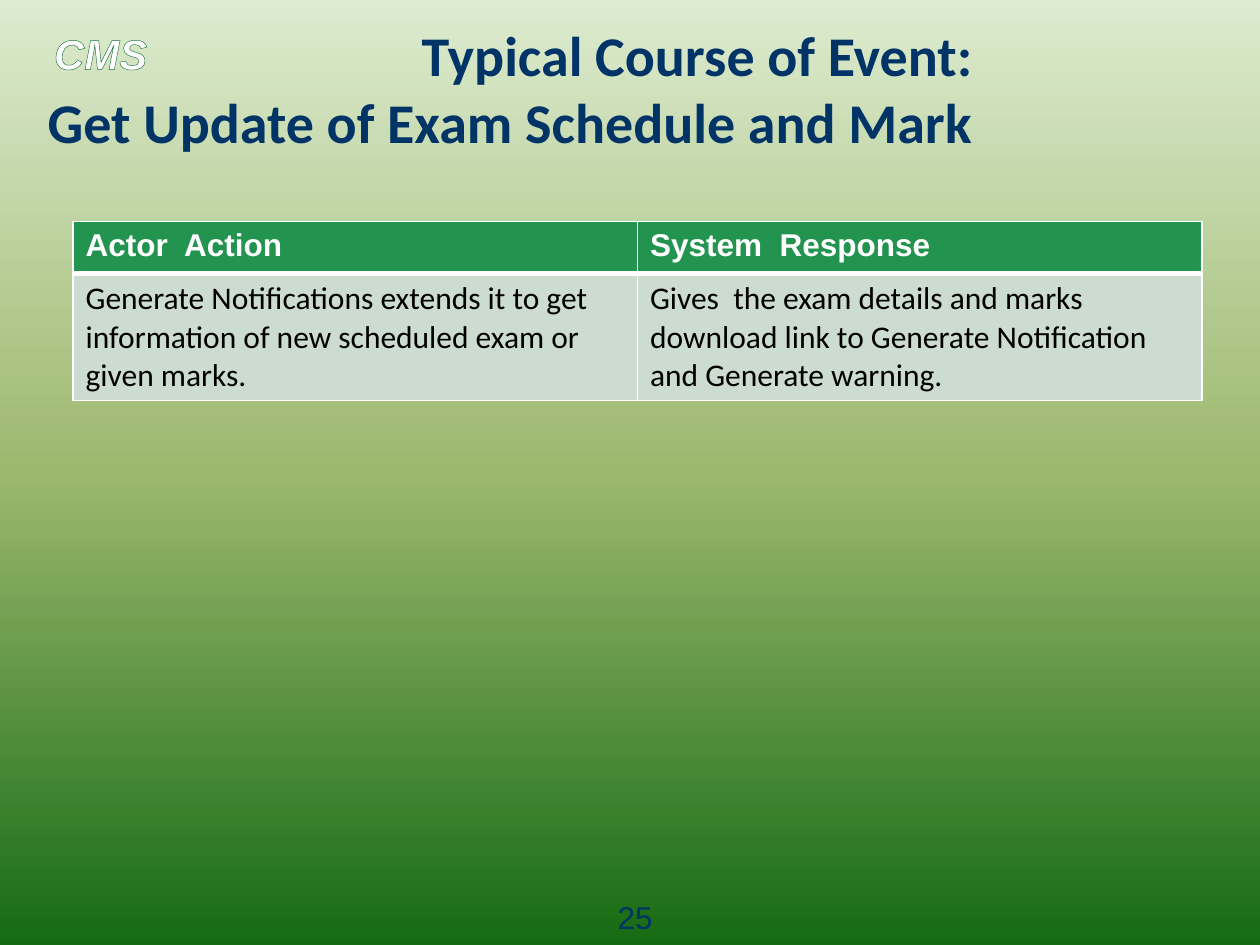
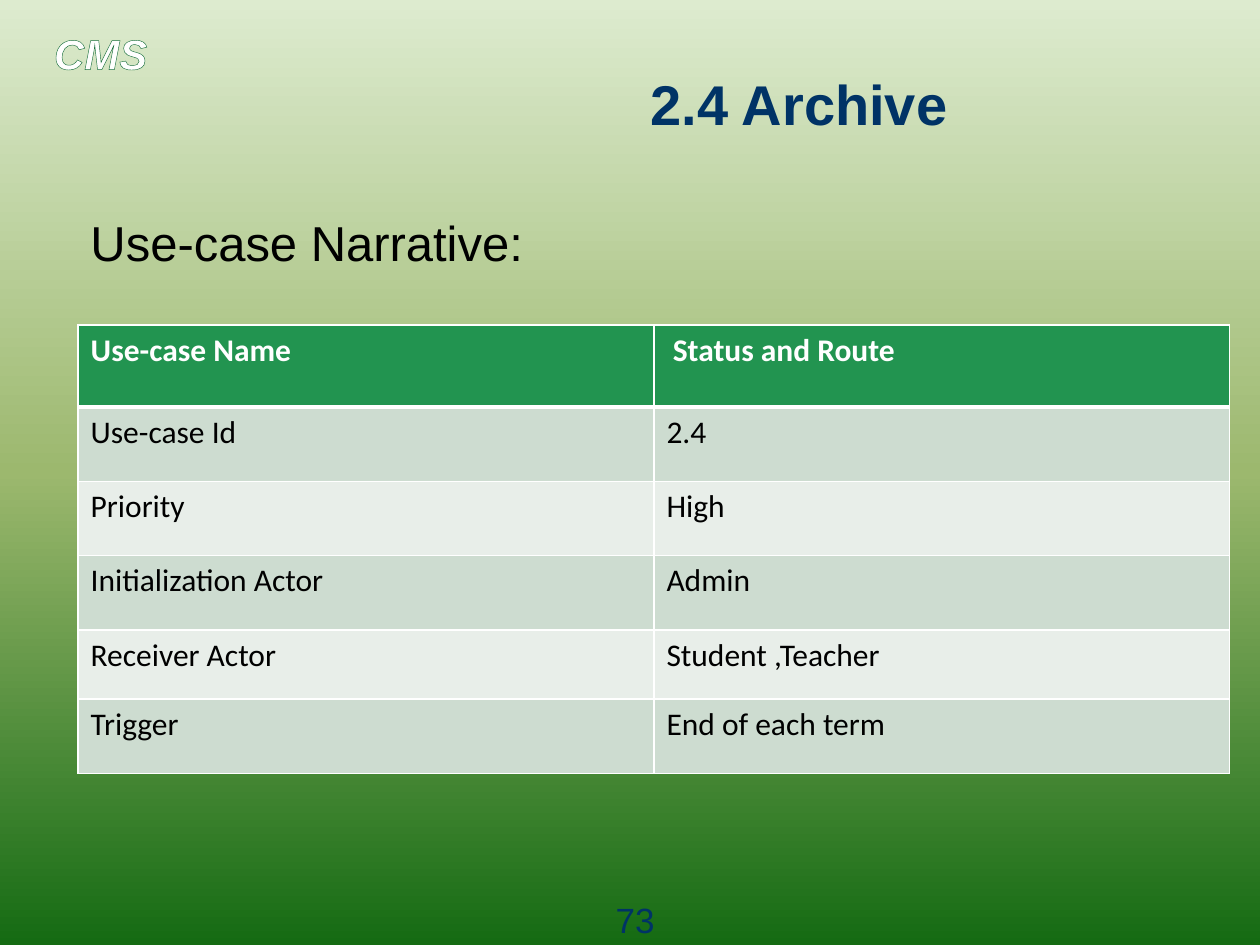
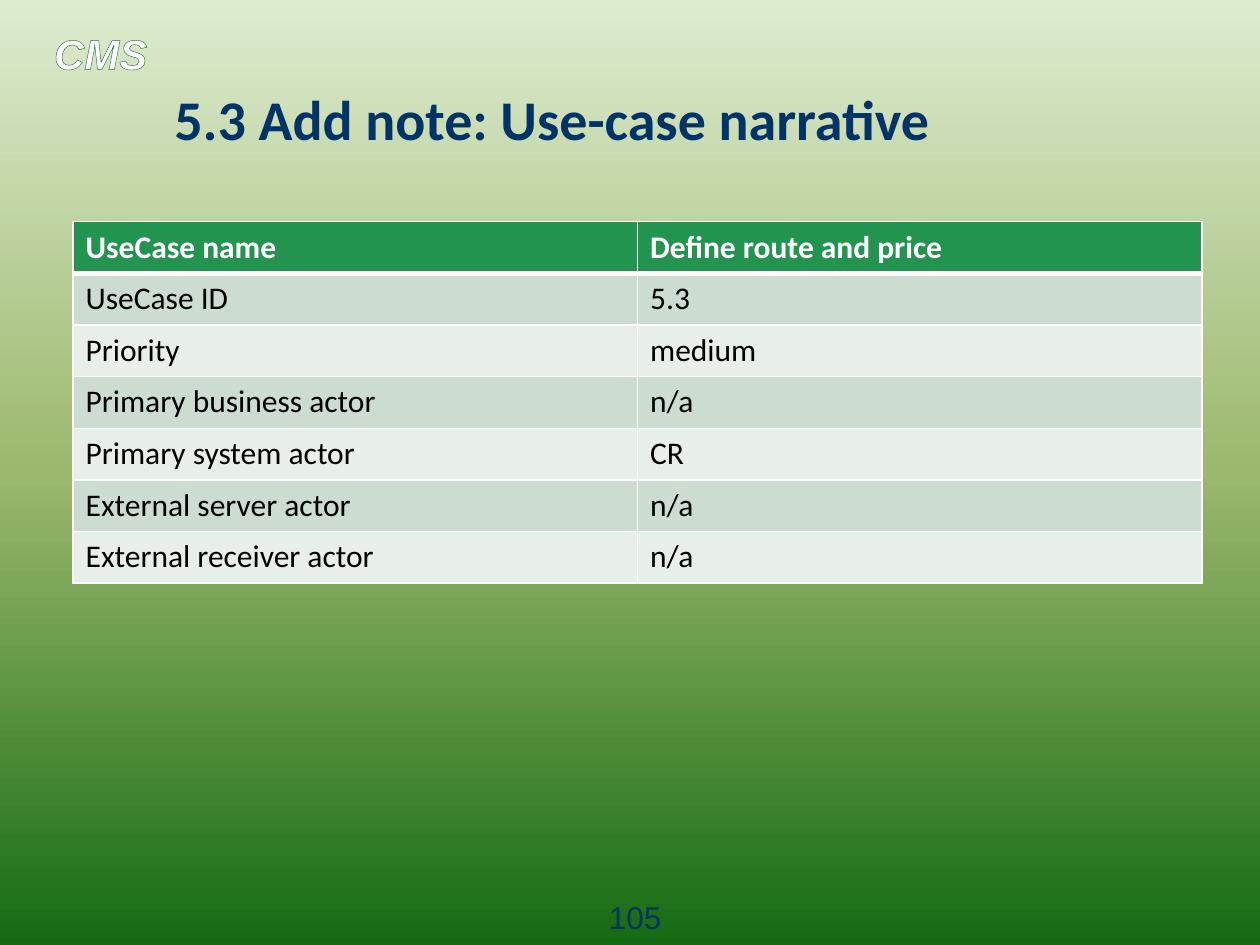
"""Build three use-case slides for the CMS deck."""
from dataclasses import dataclass

from lxml import etree
from pptx import Presentation
from pptx.dml.color import RGBColor
from pptx.enum import text
from pptx.oxml import ns
from pptx.util import Inches, Pt

COLORS = {
    "title": "003366",
    "body": "000000",
    "white": "FFFFFF",
    "outline": "196F3C",
    "header": "229450",
    "band_dark": "CDDCD0",
    "band_light": "E8EEE9",
    "bg_top": "DDEBCF",
    "bg_middle": "9CB86E",
    "bg_bottom": "156B13",
}
BACKGROUND = [(0, "bg_top"), (50, "bg_middle"), (100, "bg_bottom")]


@dataclass
class Style:
    size: int
    color: str
    font: str = "Arial"
    bold: bool = False
    italic: bool = False
    align: text.PP_ALIGN = text.PP_ALIGN.LEFT


@dataclass
class Box:
    left: float
    top: float
    width: float
    height: float


@dataclass
class Grid:
    left: float
    top: float
    col_width: float
    row_heights: list[float]
    rows: list[tuple[str, str]]
    header_font: str = "Calibri"
    header_indent: float = 0.1


@dataclass
class Page:
    number: int
    title: str
    title_box: Box
    grid: Grid
    title_font: str = "Calibri"
    number_size: int = 18
    subtitle: str = ""


PAGES = [
    Page(25, "Typical Course of Event:\vGet Update of Exam Schedule and Mark",
         Box(0.17, 0.43, 7.65, 0.53),
         Grid(0.58, 1.76, 4.48, [0.41, 1.01], [
             ("Actor  Action", "System  Response"),
             ("Generate Notifications extends it to get information of new "
              "scheduled exam or given marks.",
              "Gives  the exam details and marks\n"
              "download link to Generate Notification\n"
              "and Generate warning."),
         ], header_font="Arial")),
    Page(73, "2.4 Archive", Box(0.62, 0.55, 7, 0.53),
         Grid(0.62, 2.58, 4.57, [0.65, 0.59, 0.59, 0.59, 0.55, 0.59], [
             ("Use-case Name", "Status and Route"),
             ("Use-case Id", "2.4"),
             ("Priority", "High"),
             ("Initialization Actor", "Admin"),
             ("Receiver Actor", "Student ,Teacher"),
             ("Trigger", "End of each term"),
         ], header_indent=0.15),
         title_font="Arial", number_size=20, subtitle="Use-case Narrative:"),
    Page(105, "5.3 Add note: Use-case narrative", Box(0.48, 0.67, 7, 0.53),
         Grid(0.58, 1.76, 4.48, [0.41] * 7, [
             ("UseCase name", "Define route and price"),
             ("UseCase ID", "5.3"),
             ("Priority", "medium"),
             ("Primary business actor", "n/a"),
             ("Primary system actor", "CR"),
             ("External server actor", "n/a"),
             ("External receiver actor", "n/a"),
         ])),
]


def rgb(name: str) -> RGBColor:
    """Return the named colour."""
    return RGBColor.from_string(COLORS[name])


def add_solid(parent, name: str) -> None:
    """Append a solid fill to an XML element."""
    fill = etree.SubElement(parent, ns.qn("a:solidFill"))
    etree.SubElement(fill, ns.qn("a:srgbClr"), val=COLORS[name])


def write(tf, content: str, style: Style) -> None:
    """Fill a text frame with uniformly styled paragraphs."""
    tf.text = content
    for p in tf.paragraphs:
        p.alignment = style.align
        p.font.name = style.font
        p.font.size = Pt(style.size)
        p.font.bold = style.bold
        p.font.italic = style.italic
        p.font.color.rgb = rgb(style.color)


def add_text(s, box: Box, content: str, style: Style,
             anchor: text.MSO_ANCHOR = text.MSO_ANCHOR.TOP):
    """Add a wrapped text box and return its text frame."""
    tf = s.shapes.add_textbox(Inches(box.left), Inches(box.top),
                              Inches(box.width), Inches(box.height)).text_frame
    tf.word_wrap = True
    tf.vertical_anchor = anchor
    write(tf, content, style)
    return tf


def add_badge(s) -> None:
    """Add the outlined CMS label."""
    tf = add_text(s, Box(0.33, 0.17, 1.5, 0.5), "CMS",
                  Style(24, "white", bold=True, italic=True))
    r = tf.paragraphs[0].runs[0]
    ln = etree.Element(ns.qn("a:ln"), w=str(Pt(1)))
    add_solid(ln, "outline")
    r.font._element.insert(0, ln)


def set_borders(cell, top: int, bottom: int) -> None:
    """Draw white borders around a cell."""
    tc_pr = cell._tc.get_or_add_tcPr()
    for side, width in (("L", 1), ("R", 1), ("T", top), ("B", bottom)):
        ln = etree.SubElement(tc_pr, ns.qn(f"a:ln{side}"), w=str(Pt(width)))
        add_solid(ln, "white")


def add_grid(s, grid: Grid) -> None:
    """Add a two-column table with a header and banded rows."""
    heights = [Inches(h) for h in grid.row_heights]
    table = s.shapes.add_table(len(grid.rows), 2, Inches(grid.left), Inches(grid.top),
                               Inches(2 * grid.col_width), sum(heights)).table
    for col in table.columns:
        col.width = Inches(grid.col_width)
    header = Style(18, "white", grid.header_font, bold=True)
    body = Style(18, "body", "Calibri")
    for i, (values, height) in enumerate(zip(grid.rows, heights)):
        table.rows[i].height = height
        band = "header" if i == 0 else "band_dark" if i % 2 else "band_light"
        for j, value in enumerate(values):
            cell = table.cell(i, j)
            set_borders(cell, 3 if i == 1 else 1, 3 if i == 0 else 1)
            cell.fill.solid()
            cell.fill.fore_color.rgb = rgb(band)
            write(cell.text_frame, value, body if i else header)
    table.cell(0, 1).margin_left = Inches(grid.header_indent)


def set_background(master) -> None:
    """Give every slide the vertical green gradient."""
    fill = master.background.fill
    fill.gradient()
    fill.gradient_angle = 270
    stops = master.element.find(".//" + ns.qn("a:gsLst"))
    for stop in list(stops):
        stops.remove(stop)
    for position, name in BACKGROUND:
        stop = etree.SubElement(stops, ns.qn("a:gs"), pos=str(position * 1000))
        etree.SubElement(stop, ns.qn("a:srgbClr"), val=COLORS[name])


def add_page(prs, page: Page) -> None:
    """Add one slide with its badge, title, table and number."""
    s = prs.slides.add_slide(prs.slide_layouts[6])
    add_badge(s)
    add_text(s, page.title_box, page.title,
             Style(32, "title", page.title_font, bold=True, align=text.PP_ALIGN.RIGHT),
             text.MSO_ANCHOR.MIDDLE)
    if page.subtitle:
        add_text(s, Box(0.62, 1.64, 8.96, 5.15), page.subtitle, Style(28, "body"))
    add_grid(s, page.grid)
    add_text(s, Box(4.58, 7.08, 0.92, 0.29), str(page.number),
             Style(page.number_size, "title", align=text.PP_ALIGN.CENTER))


def main() -> None:
    """Build and save the deck."""
    prs = Presentation()
    prs.slide_width, prs.slide_height = Inches(10), Inches(7.5)
    set_background(prs.slide_master)
    for page in PAGES:
        add_page(prs, page)
    prs.save("out.pptx")


if __name__ == "__main__":
    main()
